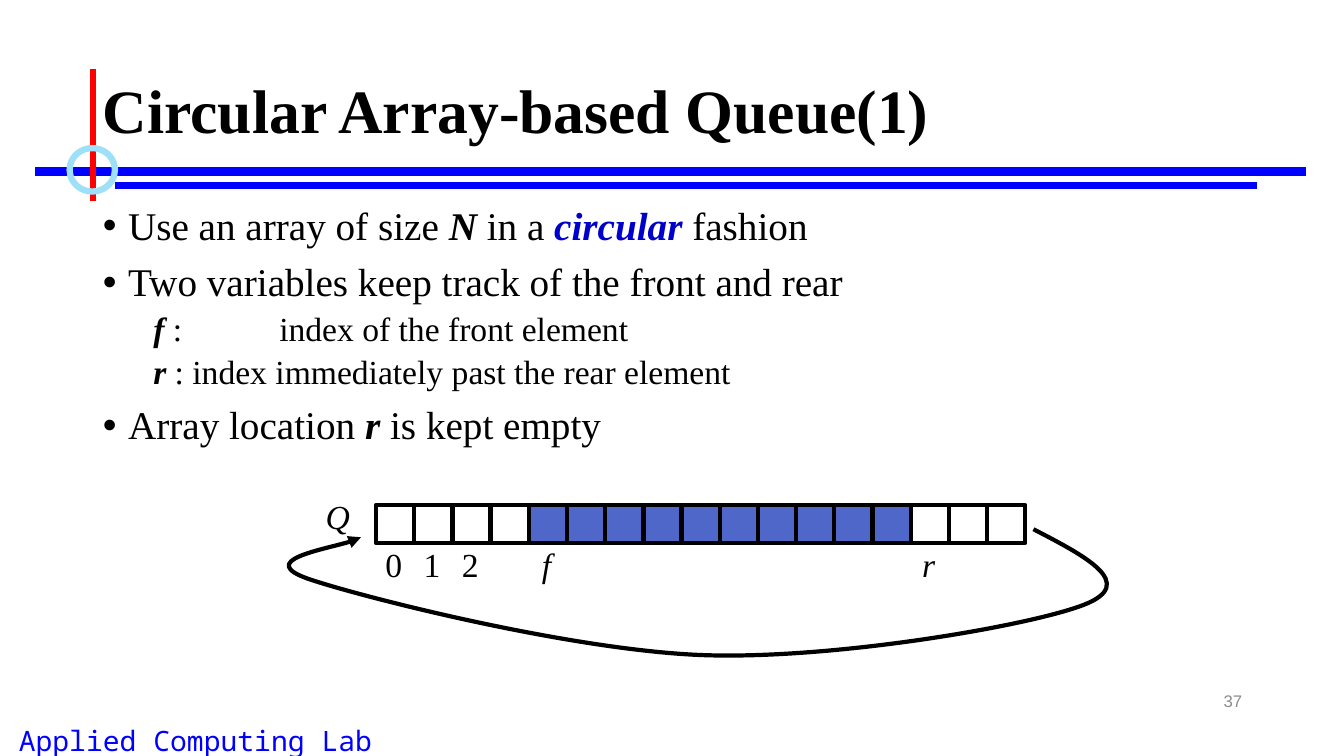
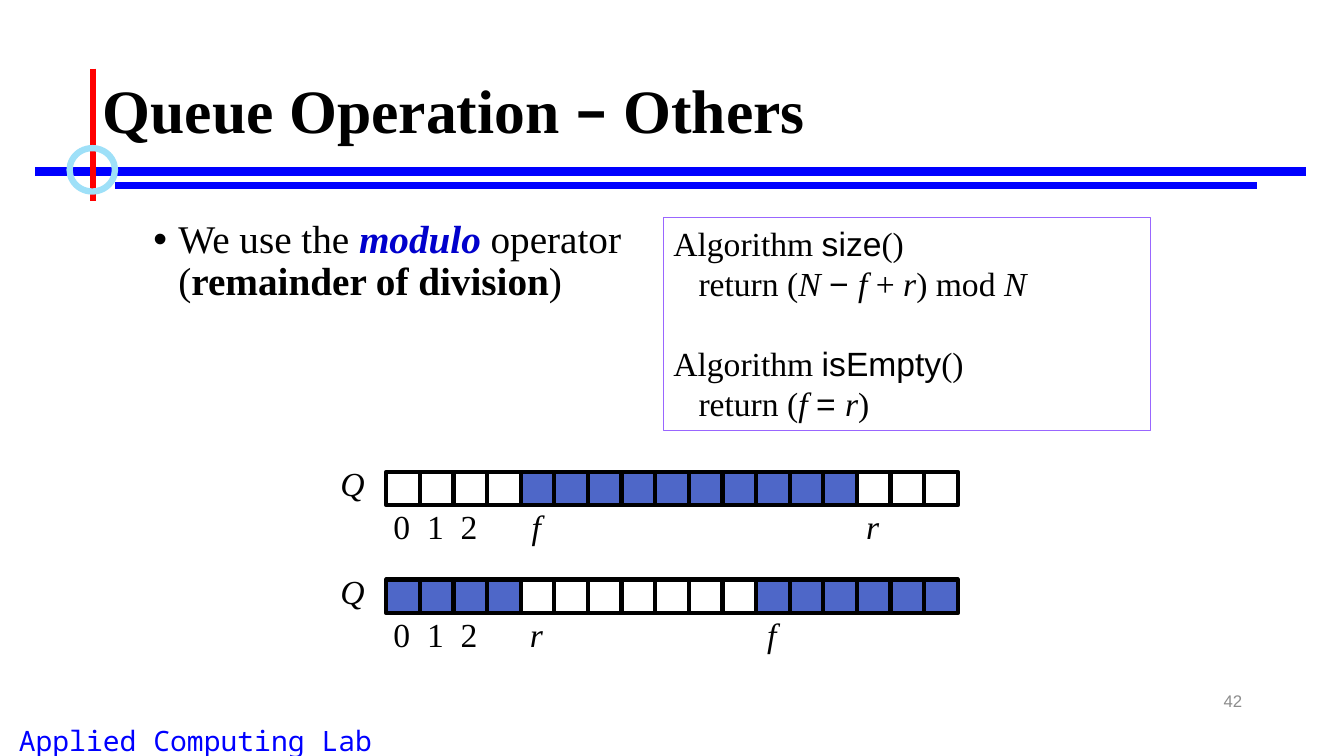
import pptx
import pptx.util
import pptx.dml.color
import pptx.enum.shapes
import pptx.enum.text
import pptx.oxml
import pptx.oxml.ns

Inches, Pt = pptx.util.Inches, pptx.util.Pt
PP_ALIGN = pptx.enum.text.PP_ALIGN
ANCHOR = pptx.enum.text.MSO_ANCHOR
SHAPE = pptx.enum.shapes.MSO_SHAPE
qn = pptx.oxml.ns.qn

COLORS = {"text": "000000", "band": "0000FF", "mark": "FF0000", "ring": "9EE0F8",
          "accent": "0000CC", "number": "8C8C8C", "cell": "FFFFFF", "used": "4E67C8",
          "frame": "9966FF"}
SERIF, SANS, DASH, MONO = "Times New Roman", "Arial", "Karla", "Noto Sans Mono"
ITALIC = {"italic": True}
BOLD = {"bold": True}
STRONG = {"bold": True, "italic": True}
KEYWORD = {"bold": True, "italic": True, "color": "accent"}
CODE = {"font": SANS}

FOOTER = "Applied Computing Lab"
BANDS = [
    ((0.35, 1.7), (12.95, 1.7), "band", 6),
    ((1.14, 1.84), (12.47, 1.84), "band", 4.5),
    ((0.92, 0.68), (0.92, 1.99), "mark", 4.5),
]
RING = (0.69, 1.47, 0.45, 0.43)
TITLE_AREA = (0.92, 0.4, 11.5, 1.45)
CELLS = 17

SLIDES = [
    {
        "number": "37",
        "title": [("Circular Array-based Queue(1)", BOLD)],
        "body_area": (0.92, 2, 11.5, 4.76),
        "body": [
            (0, [("Use an array of size ", {}), ("N", STRONG), (" in a ", {}),
                 ("circular", KEYWORD), (" fashion", {})]),
            (0, [("Two variables keep track of the front and rear", {})]),
            (1, [("f", STRONG), (" :\tindex of the front element", {})]),
            (1, [("r", STRONG), (" : index immediately past the rear element", {})]),
            (0, [("Array location ", {}), ("r", STRONG), (" is kept empty", {})]),
        ],
        "queues": [{"left": 3.73, "top": 5.01, "width": 6.44,
                    "used": range(4, 14), "f": 4, "r": 14}],
    },
    {
        "number": "42",
        "title": [("Queue Operation ", BOLD), ("–", {"bold": True, "font": DASH}),
                  (" Others", BOLD)],
        "body_area": (1.42, 2.13, 4.92, 2.08),
        "body": [
            (0, [("We use the ", {}), ("modulo", KEYWORD), (" operator (", {}),
                 ("remainder of division", BOLD), (")", {})]),
        ],
        "queues": [
            {"left": 3.83, "top": 4.68, "width": 5.67,
             "used": range(4, 14), "f": 4, "r": 14},
            {"left": 3.83, "top": 5.75, "width": 5.67,
             "used": [*range(4), *range(11, CELLS)], "f": 11, "r": 4},
        ],
    },
]
ALGORITHM_AREA = (6.58, 2.16, 4.83, 2.11)
ALGORITHMS = [
    (0, [("Algorithm ", {}), ("size", CODE), ("()", {})]),
    (0, [("\treturn (", {}), ("N ", ITALIC), ("− ", CODE), ("f", ITALIC), (" + ", {}),
         ("r", ITALIC), (") mod ", {}), ("N", ITALIC)]),
    (28, [("Algorithm ", {}), ("isEmpty", CODE), ("()", {})]),
    (0, [("\treturn (", {}), ("f ", ITALIC), ("= ", CODE), ("r", ITALIC), (")", {})]),
]
WRAP_AROUND = [
    (10.25, 5.25),
    (10.77, 5.52), (11.29, 5.79), (10.75, 6),
    (10.21, 6.21), (8.28, 6.54), (7, 6.5),
    (5.72, 6.46), (3.65, 5.94), (3.08, 5.75),
    (2.51, 5.56), (3.5, 5.4), (3.58, 5.33),
]


def rgb(name):
    return pptx.dml.color.RGBColor.from_string(COLORS[name])


def inches(area):
    return [Inches(value) for value in area]


def add_runs(para, spans, size, font=SERIF, color="text"):
    for text, style in spans:
        span = para.add_run()
        span.text = text
        span.font.size = Pt(size)
        span.font.name = style.get("font", font)
        span.font.bold = style.get("bold", False)
        span.font.italic = style.get("italic", False)
        span.font.color.rgb = rgb(style.get("color", color))


def add_element(parent, tag, **attributes):
    child = pptx.oxml.parse_xml(f"<a:{tag} {pptx.oxml.ns.nsdecls('a')}/>")
    for name, value in attributes.items():
        child.set(name, str(value))
    parent.append(child)
    return child


def outline(shape, color, width):
    shape.line.color.rgb = rgb(color)
    shape.line.width = Pt(width)


def add_box(shapes, area, spans, size, align, inset=0.0, **look):
    box = shapes.add_textbox(*inches(area))
    frame = box.text_frame
    frame.word_wrap = True
    frame.margin_left = frame.margin_right = Inches(inset)
    frame.margin_top = frame.margin_bottom = Inches(inset / 2)
    frame.paragraphs[0].alignment = align
    add_runs(frame.paragraphs[0], spans, size, **look)
    return box


def add_rectangle(shapes, area, color, line, width):
    cell = shapes.add_shape(SHAPE.RECTANGLE, *inches(area))
    cell.shadow.inherit = False
    if color:
        cell.fill.solid()
        cell.fill.fore_color.rgb = rgb(color)
    else:
        cell.fill.background()
    outline(cell, line, width)
    return cell


def move_frame_to_layout(page, layout):
    parts = [add_box(page.shapes, (-0.58, 7.13, 5.04, 0.43), [(FOOTER, {})], 20,
                     PP_ALIGN.CENTER, 0.1, font=MONO, color="band")]
    for start, end, color, width in BANDS:
        band = page.shapes.add_connector(pptx.enum.shapes.MSO_CONNECTOR.STRAIGHT,
                                         *inches(start + end))
        outline(band, color, width)
        add_element(band.element.spPr, "effectLst")
        parts.append(band)
    ring = page.shapes.add_shape(SHAPE.OVAL, *inches(RING))
    ring.shadow.inherit = False
    ring.fill.background()
    outline(ring, "ring", 4.5)
    for part in parts + [ring]:
        layout.shapes.element.append(part.element)


def fill_title(title, spans):
    title.left, title.top, title.width, title.height = inches(TITLE_AREA)
    title.text_frame.vertical_anchor = ANCHOR.MIDDLE
    para = title.text_frame.paragraphs[0]
    para.alignment = PP_ALIGN.LEFT
    para.line_spacing = 0.9
    add_runs(para, spans, 44)


def fill_body(body, area, lines):
    body.left, body.top, body.width, body.height = inches(area)
    frame = body.text_frame
    frame.auto_size = pptx.enum.text.MSO_AUTO_SIZE.NONE
    for index, (level, spans) in enumerate(lines):
        para = frame.add_paragraph() if index else frame.paragraphs[0]
        para.level = level
        para.line_spacing = 0.9
        para.space_before = Pt(5 if level else 10)
        properties = para._p.get_or_add_pPr()
        properties.set("marL", str(Inches(0.25 + 0.5 * level)))
        properties.set("indent", str(Inches(-0.25)))
        properties.set("defTabSz", str(Inches(1)))
        if level:
            add_element(properties, "buNone")
        else:
            add_element(properties, "buFont", typeface=SANS)
            add_element(properties, "buChar", char="•")
        add_runs(para, spans, 24 if level else 28)


def add_queue(page, queue):
    shapes = page.shapes.add_group_shape().shapes
    left, top, side = queue["left"], queue["top"], queue["width"] / CELLS
    label_top = top + side + 0.01
    add_box(shapes, (left - 1.5 * side, top - 0.09, side, 0.4), [("Q", ITALIC)], 24,
            PP_ALIGN.CENTER)
    labels = [(str(index), index, {}) for index in range(3)]
    labels += [(name, queue[name], ITALIC) for name in "fr"]
    for text, index, style in labels:
        add_box(shapes, (left + index * side, label_top, side * 0.93, 0.4),
                [(text, style)], 24, PP_ALIGN.CENTER)
    for index in range(CELLS):
        add_rectangle(shapes, (left + index * side, top, side, side),
                      "used" if index in queue["used"] else "cell", "text", 3)


def add_curved_arrow(page, points):
    start, *rest = [inches(point) for point in points]
    builder = page.shapes.build_freeform(*start)
    builder.add_line_segments(rest, close=False)
    arrow = builder.convert_to_shape()
    arrow.shadow.inherit = False
    arrow.fill.background()
    outline(arrow, "text", 3)
    add_element(arrow.line._get_or_add_ln(), "tailEnd", type="triangle")
    outline_path = next(arrow.element.iter(qn("a:path")))
    segments = outline_path.findall(qn("a:lnTo"))
    for first in range(0, len(segments), 3):
        curve = add_element(outline_path, "cubicBezTo")
        for segment in segments[first:first + 3]:
            curve.append(segment[0])
            outline_path.remove(segment)


def add_algorithms(page):
    box = add_rectangle(page.shapes, ALGORITHM_AREA, None, "frame", 0.75)
    frame = box.text_frame
    frame.vertical_anchor = ANCHOR.TOP
    for index, (gap, spans) in enumerate(ALGORITHMS):
        para = frame.add_paragraph() if index else frame.paragraphs[0]
        para.alignment = PP_ALIGN.LEFT
        para.space_before = Pt(gap)
        tabs = add_element(para._p.get_or_add_pPr(), "tabLst")
        add_element(tabs, "tab", pos=Inches(0.25), algn="l")
        add_runs(para, spans, 24)


deck = pptx.Presentation()
deck.slide_width, deck.slide_height = Inches(13.33), Inches(7.5)
layout = deck.slide_layouts[1]
pages = []
for content in SLIDES:
    page = deck.slides.add_slide(layout)
    fill_title(page.shapes.title, content["title"])
    fill_body(page.placeholders[1], content["body_area"], content["body"])
    number = add_box(page.shapes, (9.42, 6.75, 3, 0.4), [(content["number"], {})], 12,
                     PP_ALIGN.RIGHT, 0.1, font=SANS, color="number")
    number.text_frame.vertical_anchor = ANCHOR.MIDDLE
    for queue in content["queues"]:
        add_queue(page, queue)
    pages.append(page)

circular_page, operation_page = pages
move_frame_to_layout(circular_page, layout)
add_curved_arrow(circular_page, WRAP_AROUND)
add_algorithms(operation_page)
deck.save("out.pptx")
